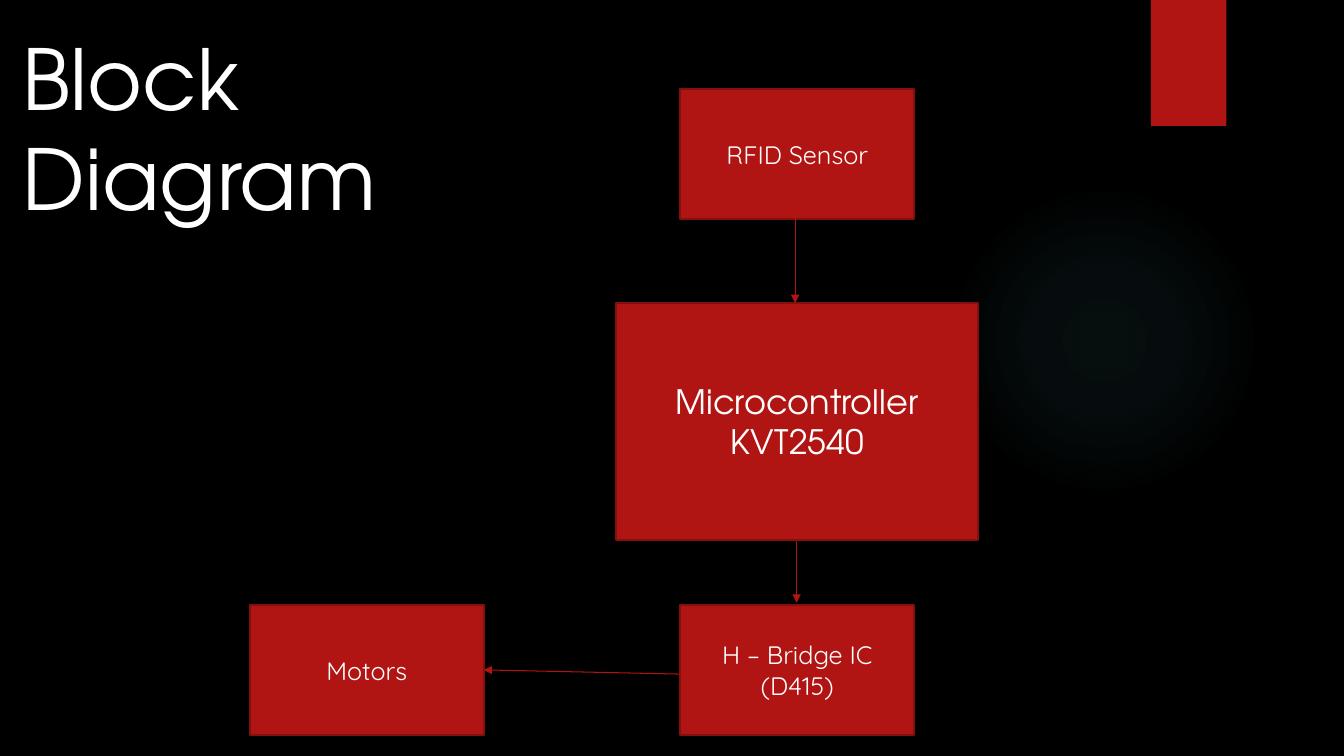
from pptx import Presentation
from pptx.dml.color import RGBColor
from pptx.enum.shapes import MSO_CONNECTOR, MSO_SHAPE
from pptx.enum.text import MSO_ANCHOR, MSO_AUTO_SIZE, PP_ALIGN
from pptx.oxml import parse_xml
from pptx.oxml.ns import nsdecls, qn
from pptx.util import Pt

RECTANGLE, OVAL = MSO_SHAPE.RECTANGLE, MSO_SHAPE.OVAL
STRAIGHT = MSO_CONNECTOR.STRAIGHT
TOP, MIDDLE = MSO_ANCHOR.TOP, MSO_ANCHOR.MIDDLE
LEFT, CENTER = PP_ALIGN.LEFT, PP_ALIGN.CENTER
NO_FIT = MSO_AUTO_SIZE.NONE

BLACK = RGBColor(0x00, 0x00, 0x00)
WHITE = RGBColor(0xFF, 0xFF, 0xFF)
RED = RGBColor(0xB0, 0x15, 0x13)
DARK_RED = RGBColor(0x82, 0x10, 0x0E)
TEAL = RGBColor(0x50, 0xB9, 0xC1)

BODY_FONT = "Quicksand"
HEADING_FONT = "TeX Gyre Adventor"


class BlockDiagram:
    def __init__(self, page):
        self.page = page
        fill = page.background.fill
        fill.solid()
        fill.fore_color.rgb = BLACK

    def format_text(self, frame, font, size, align, anchor):
        frame.word_wrap = True
        frame.auto_size = NO_FIT
        frame.vertical_anchor = anchor
        for para in frame.paragraphs:
            para.alignment = align
            for span in para.runs:
                span.font.name = font
                span.font.size = Pt(size)
                span.font.color.rgb = WHITE

    def title(self, text, left, top, width, height):
        box = self.page.shapes.title
        box.left, box.top = Pt(left), Pt(top)
        box.width, box.height = Pt(width), Pt(height)
        box.text_frame.text = text
        self.format_text(box.text_frame, HEADING_FONT, 60, LEFT, TOP)

    def shape(self, kind, left, top, width, height):
        shape = self.page.shapes.add_shape(
            kind, Pt(left), Pt(top), Pt(width), Pt(height))
        shape.shadow.inherit = False
        shape.line.fill.background()
        return shape

    def panel(self, left, top, width, height):
        panel = self.shape(RECTANGLE, left, top, width, height)
        panel.fill.solid()
        panel.fill.fore_color.rgb = RED
        return panel

    def block(self, text, left, top, width, height, font=BODY_FONT, size=18):
        block = self.panel(left, top, width, height)
        block.line.color.rgb = DARK_RED
        block.line.width = Pt(1.5)
        block.text_frame.text = text
        self.format_text(block.text_frame, font, size, CENTER, MIDDLE)

    def glow(self, left, top, size, stops):
        glow = self.shape(OVAL, left, top, size, size)
        glow.fill.background()
        stop_xml = "".join(
            f'<a:gs pos="{place * 1000}"><a:srgbClr val="{TEAL}">'
            f'<a:alpha val="{alpha * 1000}"/></a:srgbClr></a:gs>'
            for place, alpha in stops)
        gradient = parse_xml(
            f'<a:gradFill {nsdecls("a")}><a:gsLst>{stop_xml}</a:gsLst>'
            '<a:path path="circle"><a:fillToRect l="50000" t="50000" '
            'r="50000" b="50000"/></a:path></a:gradFill>')
        properties = glow.element.spPr
        properties.replace(properties.find(qn("a:noFill")), gradient)

    def arrow(self, start, end):
        arrow = self.page.shapes.add_connector(
            STRAIGHT, *(Pt(value) for value in start + end))
        arrow.line.color.rgb = RED
        arrow.line.width = Pt(0.75)
        properties = arrow.element.spPr
        properties.find(qn("a:ln")).append(
            parse_xml(f'<a:tailEnd {nsdecls("a")} type="triangle"/>'))
        properties.append(parse_xml(f'<a:effectLst {nsdecls("a")}/>'))


deck = Presentation()
deck.slide_width, deck.slide_height = Pt(960), Pt(540)
diagram = BlockDiagram(deck.slides.add_slide(deck.slide_layouts[5]))

BLOCK_SIZE = (167, 93)
SENSOR_LEFT, MOTORS_LEFT, BOTTOM_ROW = 486, 178.5, 432

diagram.glow(677.5, 132, 222, [(0, 7), (36, 6), (69, 0)])
diagram.panel(822, 0, 54, 90)
diagram.block("RFID Sensor", SENSOR_LEFT, 63.5, *BLOCK_SIZE)
diagram.block("H – Bridge IC\n(D415)", SENSOR_LEFT, BOTTOM_ROW, *BLOCK_SIZE)
diagram.arrow((569, 383), (569, 430.5))
diagram.arrow((568, 145.5), (568, 216.5))
diagram.block("Motors", MOTORS_LEFT, BOTTOM_ROW, *BLOCK_SIZE)
diagram.arrow((SENSOR_LEFT, 481.5), (MOTORS_LEFT + BLOCK_SIZE[0], 478.5))
diagram.block("Microcontroller\nKVT2540", 440, 216.5, 258.5, 169,
              HEADING_FONT, 24)
diagram.title("Block Diagram", 9, 15, 409, 152)

deck.save("out.pptx")
